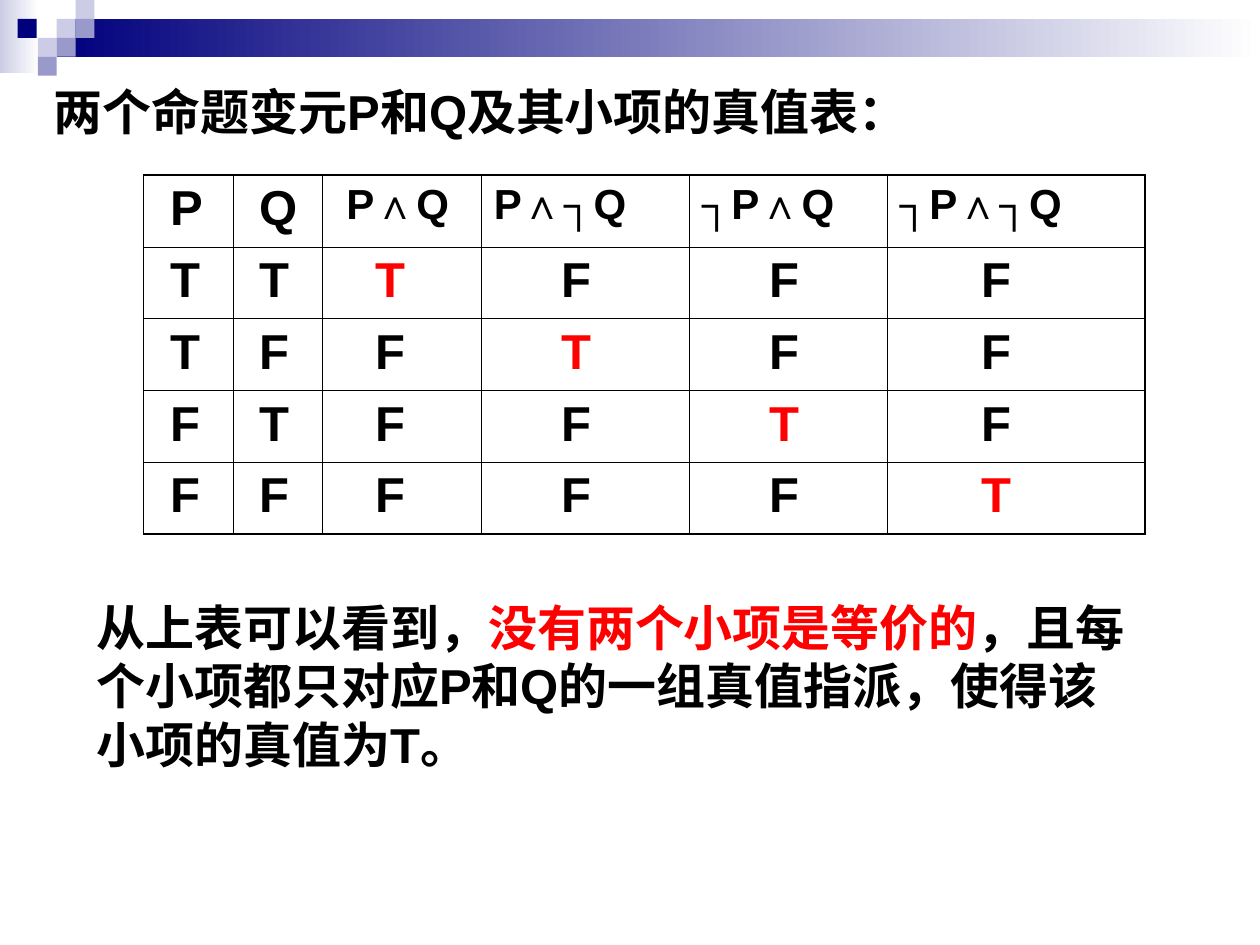
"""Build a slide with the truth table of the minterms of P and Q."""
from pptx import Presentation
from pptx.dml.color import RGBColor
from pptx.enum.shapes import MSO_SHAPE
from pptx.enum.text import MSO_ANCHOR
from pptx.oxml.ns import qn
from pptx.util import Inches, Pt
from lxml.etree import SubElement

BLACK, RED, WHITE = "000000", "FF0000", "FFFFFF"
NAVY, LILAC, VIOLET = "00007D", "CCCCE6", "9999CC"

BANDS = [((0, 0, 0.31, 0.58), LILAC), ((0.45, 0.15, 9.55, 0.3), NAVY)]
SQUARE = 0.15
SQUARES = [(0.45, 0.15, LILAC), (0.6, 0, LILAC), (0.6, 0.15, VIOLET),
           (0.3, 0.3, LILAC), (0.14, 0.15, NAVY), (0.45, 0.3, VIOLET),
           (0.3, 0.45, VIOLET)]

TITLE = [("两个命题变元P和Q及其小项的真值表：", BLACK)]
CONCLUSION = [
    ("从上表可以看到，", BLACK),
    ("没有两个小项是等价的", RED),
    ("，且每个小项都只对应P和Q的一组真值指派，使得该小项的真值为T。", BLACK),
]
TEXTS = [((0.33, 0.6, 9.39, 0.71), TITLE, 7),
         ((0.67, 4.69, 8.43, 1.5), CONCLUSION, 17.5)]

HEADER = ["P", "Q", "P∧Q", "P∧┐Q", "┐P∧Q", "┐P∧┐Q"]
ROWS = ["TTTFFF", "TFFTFF", "FTFFTF", "FFFFFT"]
COL_WIDTHS = [0.71, 0.71, 1.26, 1.65, 1.57, 2.05]
HEADER_MARGINS = [0.21, 0.21, 0.19, 0.1, 0.1, 0.1]
VALUE_MARGINS = [0.21, 0.21, 0.42, 0.64, 0.64, 0.75]
VARIABLES = 2
TABLE_LEFT, TABLE_TOP, ROW_HEIGHT = 1.14, 1.39, 0.57
THIN, THICK = 0.45, 1.08


def rgb(value):
    return RGBColor.from_string(value)


def add_rect(s, box, color, fade=False):
    sp = s.shapes.add_shape(MSO_SHAPE.RECTANGLE, *map(Inches, box))
    sp.shadow.inherit = False
    sp.line.fill.background()
    if fade:
        sp.fill.gradient()
        sp.fill.gradient_angle = 0
        for stop, value in zip(sp.fill.gradient_stops, (color, WHITE)):
            stop.color.rgb = rgb(value)
    else:
        sp.fill.solid()
        sp.fill.fore_color.rgb = rgb(color)


def write(tf, parts, size=28, before=7):
    p = tf.paragraphs[0]
    p.space_before = Pt(before)
    for text, color in parts:
        r = p.add_run()
        r.text = text
        for name, value in {"name": "Arial", "size": Pt(size), "bold": True}.items():
            setattr(r.font, name, value)
        r.font.color.rgb = rgb(color)


def set_borders(cell, widths):
    tc_pr = cell._tc.get_or_add_tcPr()
    for side, width in zip("LRTB", widths):
        ln = SubElement(tc_pr, qn(f"a:ln{side}"), w=str(Pt(width)))
        SubElement(SubElement(ln, qn("a:solidFill")), qn("a:srgbClr"), val=BLACK)


def add_truth_table(s):
    grid = [HEADER, *ROWS]
    n_rows, n_cols = len(grid), len(HEADER)
    table = s.shapes.add_table(
        n_rows, n_cols, Inches(TABLE_LEFT), Inches(TABLE_TOP),
        Inches(sum(COL_WIDTHS)), Inches(ROW_HEIGHT * n_rows)).table
    table.first_row = table.horz_banding = False
    for col, width in zip(table.columns, COL_WIDTHS):
        col.width = Inches(width)
    for i, values in enumerate(grid):
        table.rows[i].height = Inches(ROW_HEIGHT)
        margins = VALUE_MARGINS if i else HEADER_MARGINS
        for j, text in enumerate(values):
            cell = table.cell(i, j)
            minterm = j >= VARIABLES
            small = i == 0 and minterm
            color = RED if minterm and text == "T" else BLACK
            cell.margin_left = Inches(margins[j])
            cell.vertical_anchor = MSO_ANCHOR.TOP
            write(cell.text_frame, [(text, color)],
                  size=24 if small else 28, before=6 if small else 7)
            outer = (j == 0, j == n_cols - 1, i == 0, i == n_rows - 1)
            set_borders(cell, [THICK if edge else THIN for edge in outer])
            cell.fill.background()


def main():
    prs = Presentation()
    prs.slide_width, prs.slide_height = Inches(10), Inches(7.5)
    s = prs.slides.add_slide(prs.slide_layouts[6])
    for box, color in BANDS:
        add_rect(s, box, color, fade=True)
    for left, top, color in SQUARES:
        add_rect(s, (left, top, SQUARE, SQUARE), color)
    for box, parts, before in TEXTS:
        tf = s.shapes.add_textbox(*map(Inches, box)).text_frame
        tf.word_wrap = True
        write(tf, parts, before=before)
    add_truth_table(s)
    prs.save("out.pptx")


if __name__ == "__main__":
    main()
